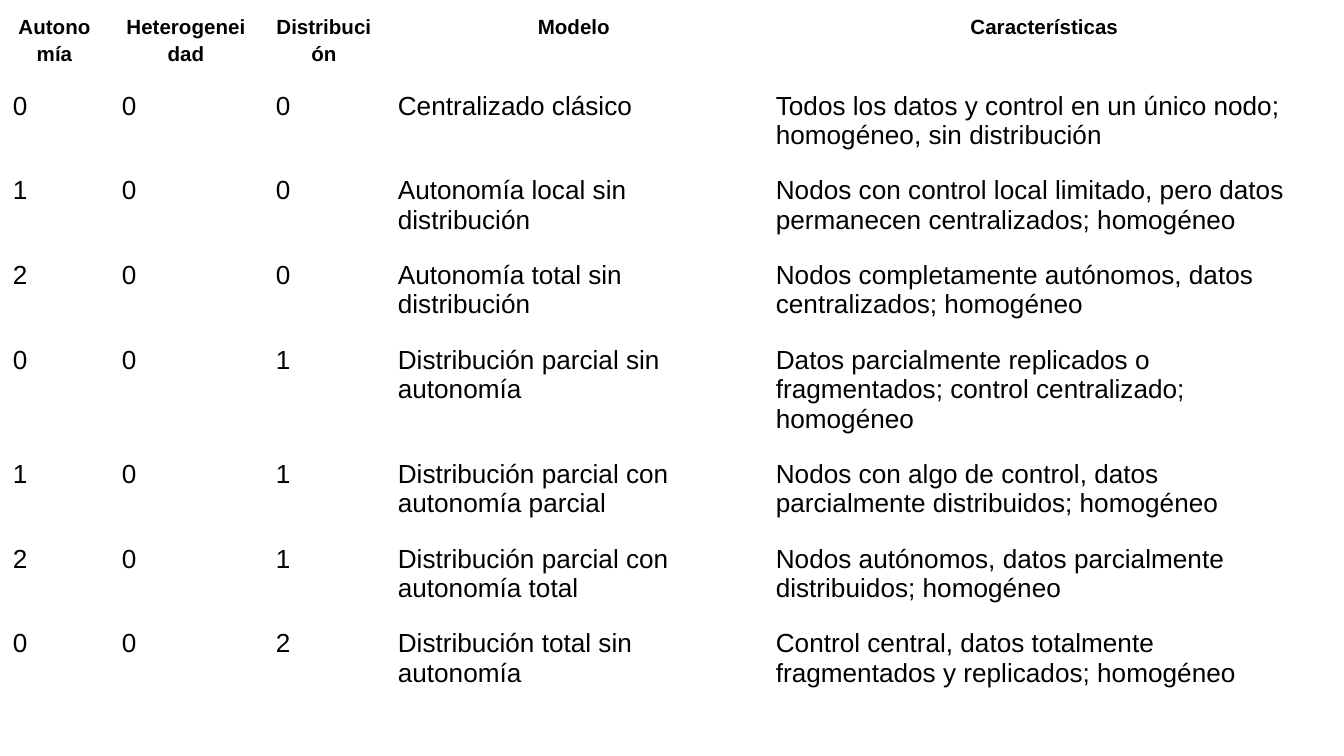
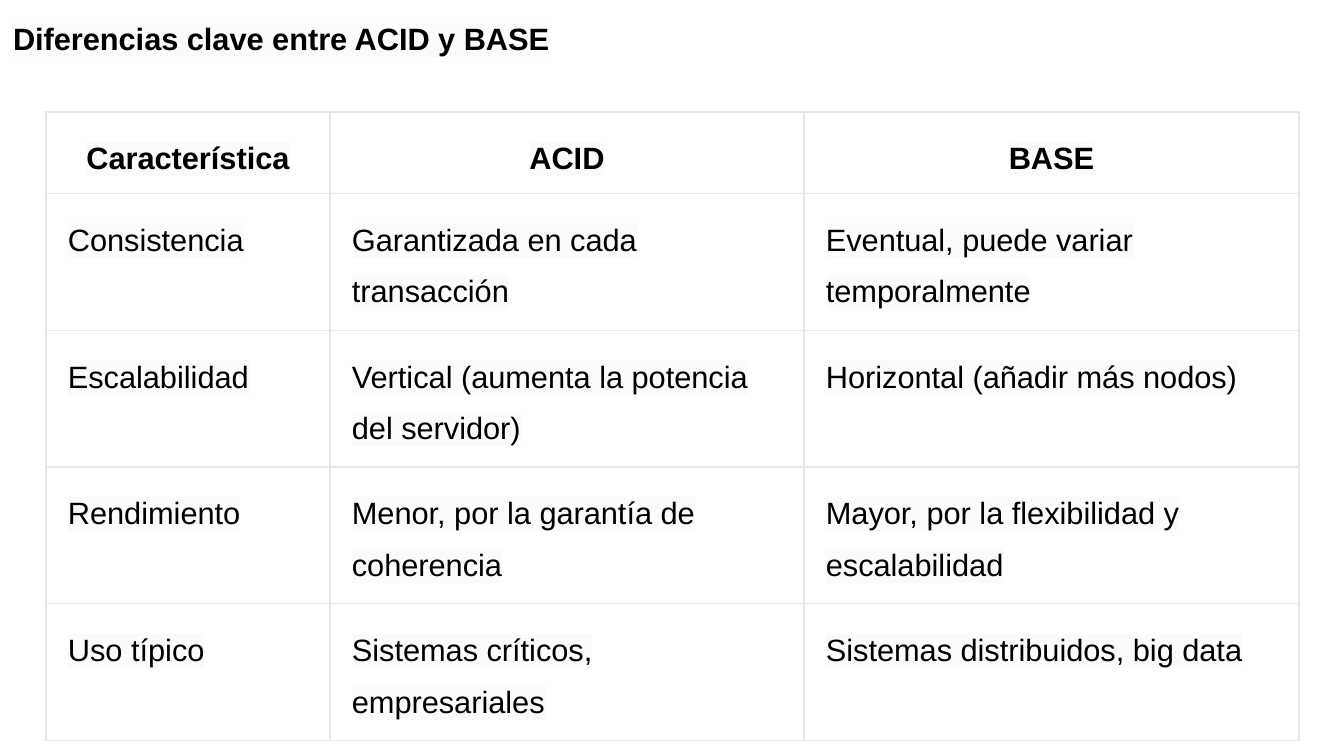
from dataclasses import dataclass

from lxml import etree
from pptx import Presentation
from pptx.dml.color import RGBColor
from pptx.enum import text
from pptx.oxml.ns import qn
from pptx.util import Emu, Pt

# Content
MODELS = [
    ("Autonomía", "Heterogeneidad", "Distribución", "Modelo", "Características"),
    ("0", "0", "0", "Centralizado clásico",
     "Todos los datos y control en un único nodo; homogéneo, sin distribución"),
    ("1", "0", "0", "Autonomía local sin distribución",
     "Nodos con control local limitado, pero datos permanecen centralizados; homogéneo"),
    ("2", "0", "0", "Autonomía total sin distribución",
     "Nodos completamente autónomos, datos centralizados; homogéneo"),
    ("0", "0", "1", "Distribución parcial sin autonomía",
     "Datos parcialmente replicados o fragmentados; control centralizado; homogéneo"),
    ("1", "0", "1", "Distribución parcial con autonomía parcial",
     "Nodos con algo de control, datos parcialmente distribuidos; homogéneo"),
    ("2", "0", "1", "Distribución parcial con autonomía total",
     "Nodos autónomos, datos parcialmente distribuidos; homogéneo"),
    ("0", "0", "2", "Distribución total sin autonomía",
     "Control central, datos totalmente fragmentados y replicados; homogéneo"),
]
TITLE = "Diferencias clave entre ACID y BASE"
DIFFERENCES = [
    ("Característica", "ACID", "BASE"),
    ("Consistencia", "Garantizada en cada transacción",
     "Eventual, puede variar temporalmente"),
    ("Escalabilidad", "Vertical (aumenta la potencia del servidor)",
     "Horizontal (añadir más nodos)"),
    ("Rendimiento", "Menor, por la garantía de coherencia",
     "Mayor, por la flexibilidad y escalabilidad"),
    ("Uso típico", "Sistemas críticos, empresariales",
     "Sistemas distribuidos, big data"),
]


# Theme
@dataclass(frozen=True)
class Theme:
    font: str = "Arial"
    ink: str = "000000"
    highlight: str = "FCFBFB"
    border: str = "E7E7E7"
    border_width: float = 0.75
    head_size: float = 11
    body_size: float = 14
    large_size: float = 16.5
    plain_table: str = "{2D5ABB26-0587-4C30-8999-92F81FD0307C}"


@dataclass(frozen=True)
class TableStyle:
    head_size: float
    body_size: float
    head_spacing: float
    body_spacing: float
    side_inset: int
    highlight: bool = False
    border: bool = False


THEME = Theme()
MODEL_STYLE = TableStyle(THEME.head_size, THEME.body_size, 1.15, 1.0, 13)
DIFFERENCE_STYLE = TableStyle(THEME.large_size, THEME.large_size, 1.5, 1.5, 22,
                              highlight=True, border=True)
INSET = 13
SLIDE_W, SLIDE_H = 1344, 756


def px(n):
    return Emu(round(n * 914400 / 134.4))


def add_color(parent, color):
    etree.SubElement(parent, qn("a:srgbClr"), val=color)


def write(tf, words, size, bold, align, spacing, highlight=False):
    p = tf.paragraphs[0]
    r = p.add_run()
    r.text = words
    p.alignment, p.line_spacing = align, spacing
    p.font.name, p.font.size, p.font.bold = THEME.font, Pt(size), bold
    p.font.color.rgb = RGBColor.from_string(THEME.ink)
    if highlight:
        add_color(etree.SubElement(r.font._element, qn("a:highlight")), THEME.highlight)
    return p


def set_insets(target, side):
    target.margin_left = target.margin_right = px(side)
    target.margin_top = target.margin_bottom = px(INSET)


def add_borders(cell):
    tc_pr = cell._tc.get_or_add_tcPr()
    for i, side in enumerate(("lnL", "lnR", "lnT", "lnB")):
        ln = etree.Element(qn(f"a:{side}"), w=str(Pt(THEME.border_width)))
        add_color(etree.SubElement(ln, qn("a:solidFill")), THEME.border)
        tc_pr.insert(i, ln)


def add_grid(slide, rows, at, col_widths, row_heights, height, style):
    left, top = at
    frame = slide.shapes.add_table(len(rows), len(col_widths), px(left), px(top),
                                   px(sum(col_widths)), px(height))
    table = frame.table
    table.horz_banding = False
    table._tbl.tblPr.find(qn("a:tableStyleId")).text = THEME.plain_table
    for col, width in zip(table.columns, col_widths):
        col.width = px(width)
    for row, row_height in zip(table.rows, row_heights):
        row.height = px(row_height)
    frame.height = px(height)

    for i, row in enumerate(rows):
        head = i == 0
        size = style.head_size if head else style.body_size
        spacing = style.head_spacing if head else style.body_spacing
        align = text.PP_ALIGN.CENTER if head else text.PP_ALIGN.LEFT
        for j, words in enumerate(row):
            cell = table.cell(i, j)
            cell.fill.background()
            set_insets(cell, style.side_inset)
            write(cell.text_frame, words, size, head, align, spacing, style.highlight)
            if style.border:
                add_borders(cell)


def add_title(slide, words):
    sp = slide.shapes.title
    sp.left, sp.top, sp.width, sp.height = px(0), px(0), px(SLIDE_W), px(65)
    tf = sp.text_frame
    tf.word_wrap = True
    tf.auto_size = text.MSO_AUTO_SIZE.SHAPE_TO_FIT_TEXT
    tf.vertical_anchor = text.MSO_ANCHOR.TOP
    set_insets(tf, INSET)
    p = write(tf, words, THEME.large_size, True, text.PP_ALIGN.LEFT, 1.18, True)
    p.space_after = Pt(9)


def main():
    prs = Presentation()
    prs.slide_width, prs.slide_height = px(SLIDE_W), px(SLIDE_H)
    title_only, blank = prs.slide_layouts[5], prs.slide_layouts[6]

    # Distribution models
    s = prs.slides.add_slide(blank)
    add_grid(s, MODELS, (0, 0), (109, 154, 122, 378, 563),
             [0] + [54] * (len(MODELS) - 1), 739, MODEL_STYLE)

    # ACID and BASE
    s = prs.slides.add_slide(title_only)
    add_title(s, TITLE)
    add_grid(s, DIFFERENCES, (46, 112), (284, 474, 495),
             [74] + [117] * (len(DIFFERENCES) - 1), 605, DIFFERENCE_STYLE)

    prs.save("out.pptx")


if __name__ == "__main__":
    main()
